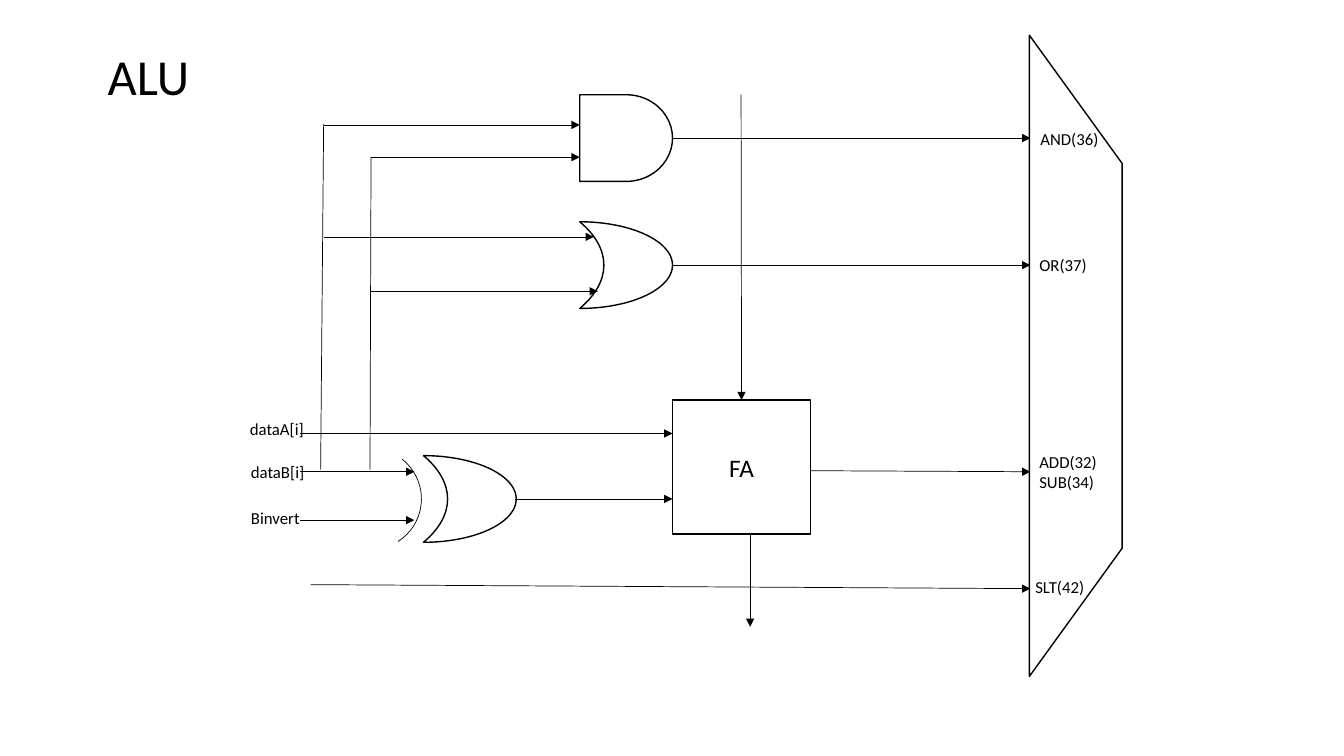
from dataclasses import dataclass

from lxml import etree
from pptx import Presentation, util as u
from pptx.dml.color import RGBColor
from pptx.enum import shapes, text
from pptx.oxml.ns import qn

CELL = u.Inches(0.1)  # the grid is made of squares of this side
KIND = shapes.MSO_SHAPE


@dataclass(frozen=True)
class Theme:
    ink: RGBColor = RGBColor(0, 0, 0)
    paper: RGBColor = RGBColor(255, 255, 255)
    font: str = "Calibri"
    title: int = 36
    block: int = 18
    label: int = 12
    edge: float = 1
    wire: float = 0.5


THEME = Theme()

# Gates share one size and are placed by column and row
GATE = (9.2, 8.6)
MUX = 102.2  # column of the multiplexer's input side
BUS_A, BUS_B = 32.1, 36.8
PINS = 29.8  # column where the input wires start


def grid(*cells):
    return [round(n * CELL) for n in cells]


def style(font, size):
    font.name = THEME.font
    font.size = u.Pt(size)
    font.color.rgb = THEME.ink


def block(slide, kind, box, turn=0, adjust=(), edge=THEME.edge, solid=True):
    shape = slide.shapes.add_shape(kind, *grid(*box))
    shape.shadow.inherit = False
    shape.rotation = turn
    for i, value in enumerate(adjust):
        shape.adjustments[i] = value
    if solid:
        shape.fill.solid()
        shape.fill.fore_color.rgb = THEME.paper
    else:
        shape.fill.background()
    shape.line.color.rgb = THEME.ink
    shape.line.width = u.Pt(edge)
    return shape


def moon(slide, col, row):
    """Draw the curved body of an OR or XOR gate."""
    block(slide, KIND.MOON, (col, row, *GATE), 180, [0.74])


def wire(slide, start, end, arrow=True):
    line = slide.shapes.add_connector(
        shapes.MSO_CONNECTOR.STRAIGHT, *grid(*start, *end))
    line.line.color.rgb = THEME.ink
    line.line.width = u.Pt(THEME.wire)
    if arrow:
        etree.SubElement(line.line._get_or_add_ln(), qn("a:tailEnd"),
                         type="triangle")
    etree.SubElement(line._element.spPr, qn("a:effectLst"))
    return line


def label(slide, words, box, size=THEME.label, wrap=True):
    frame = slide.shapes.add_textbox(*grid(*box)).text_frame
    frame.word_wrap = wrap
    frame.auto_size = text.MSO_AUTO_SIZE.SHAPE_TO_FIT_TEXT
    frame.text = words
    for para in frame.paragraphs:
        style(para.font, size)


def adder(slide):
    shape = block(slide, KIND.RECTANGLE, (66.7, 39.7, 13.7, 13.3))
    frame = shape.text_frame
    frame.text = "FA"
    frame.vertical_anchor = text.MSO_ANCHOR.MIDDLE
    para = frame.paragraphs[0]
    para.alignment = text.PP_ALIGN.CENTER
    style(para.font, THEME.block)
    return shape


def gates(slide):
    block(slide, KIND.FLOWCHART_DELAY, (57.5, 9.4, *GATE))
    moon(slide, 57.5, 22)
    block(slide, KIND.FLOWCHART_MANUAL_OPERATION,
          (74.9, 30.7, 63.6, 9.2), 270)
    full = adder(slide)
    moon(slide, 42, 45.2)
    block(slide, KIND.ARC, (31.8, 44.5, 10, 10), 38.2, (162, 11.651),
          THEME.wire, False)
    return full


def wires(slide, full):
    for start, end in (
        ((66.7, 13.7), (MUX, 13.7)),
        ((66.7, 26.3), (MUX, 26.3)),
        ((80.4, 46.7), (MUX, 46.8)),
        ((30.8, 58), (MUX, 58.4)),
        ((PINS, 43), (66.7, 43)),
        ((51.1, 49.5), (66.7, 49.5)),
        ((PINS, 46.8), (41.1, 46.8)),
        ((PINS, 51.6), (41.1, 51.6)),
        ((74.4, 53), (74.4, 62.2)),
        ((BUS_A, 12.4), (57.5, 12.4)),
        ((BUS_B, 15.6), (57.5, 15.6)),
        ((BUS_A, 23.5), (58.9, 23.5)),
        ((BUS_B, 28.9), (59.3, 28.9)),
    ):
        wire(slide, start, end)
    wire(slide, (73.5, 9.4), (73.5, 39.7)).end_connect(full, 0)
    wire(slide, (BUS_B, 15.6), (36.7, 46.6), False)
    wire(slide, (BUS_A, 12.3), (31.8, 46.6), False)


def labels(slide):
    label(slide, "ALU", (9.7, 4, 13.6, 7.1), THEME.title)
    for words, col, row, wide in (("dataA[i]", 23.8, 41.1, 7.4),
                                  ("dataB[i]", 23.9, 45.3, 7.3),
                                  ("Binvert", 23.9, 49.9, 6.9)):
        label(slide, words, (col, row, wide, 3), wrap=False)
    for words, col, row, high in (("AND(36)", 102.2, 12.3, 3),
                                  ("OR(37)", 102.1, 24.8, 3),
                                  ("ADD(32)\nSUB(34)", 102.1, 44.3, 5),
                                  ("SLT(42)", 101.7, 56.7, 3)):
        label(slide, words, (col, row, 10, high))


def main():
    deck = Presentation()
    deck.slide_width, deck.slide_height = u.Inches(13.33), u.Inches(7.5)
    slide = deck.slides.add_slide(deck.slide_layouts[6])
    full = gates(slide)
    wires(slide, full)
    labels(slide)
    deck.save("out.pptx")


if __name__ == "__main__":
    main()
